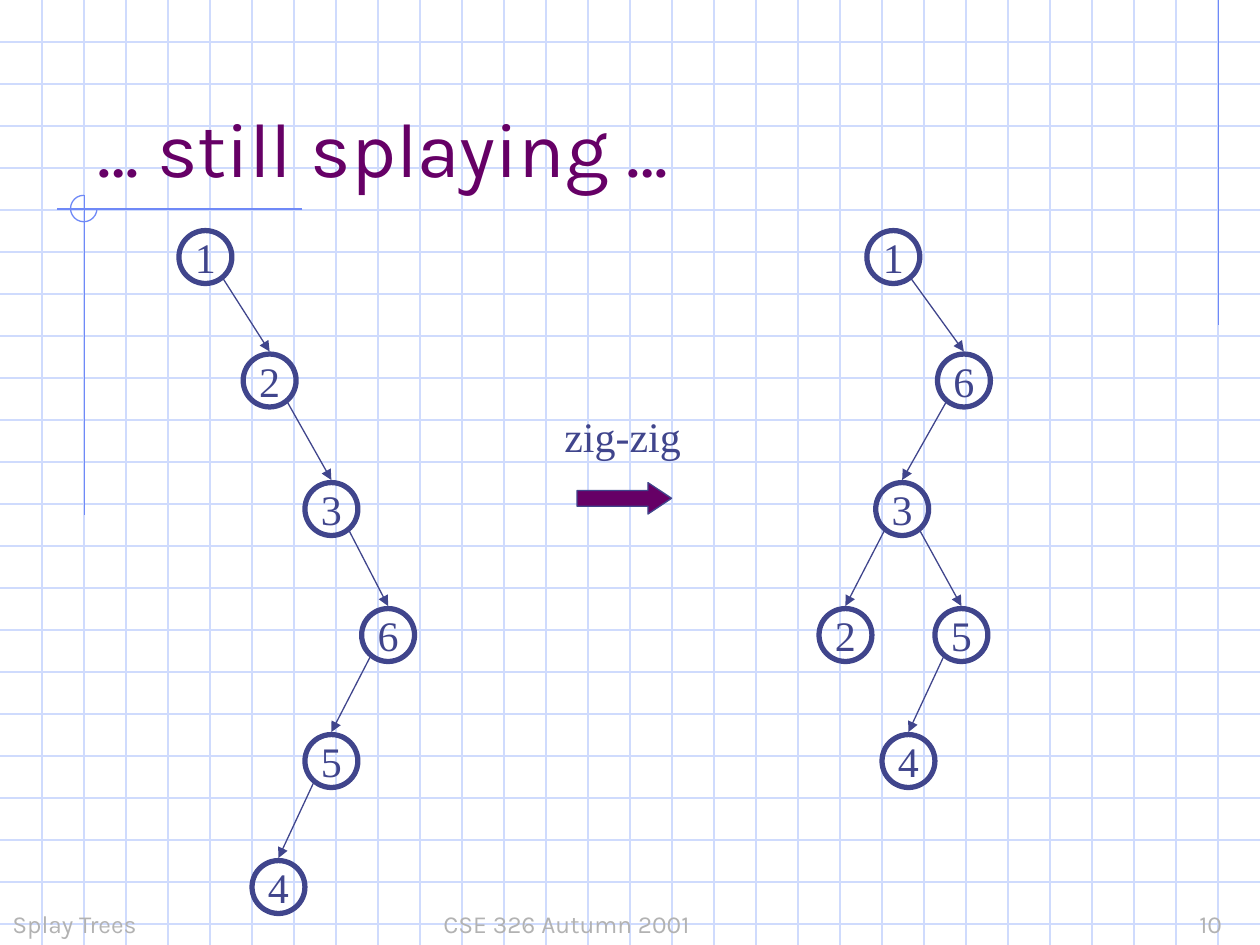
from dataclasses import dataclass

from lxml.etree import SubElement as sub
from pptx import Presentation
from pptx.dml.color import RGBColor as RGB
from pptx.enum.shapes import MSO_CONNECTOR as LINK, MSO_SHAPE as SHAPE
from pptx.enum.text import MSO_ANCHOR as ANCHOR, MSO_AUTO_SIZE as FIT, PP_ALIGN as ALIGN
from pptx.oxml.ns import qn
from pptx.util import Inches, Pt


@dataclass(frozen=True)
class Theme:
    """Colours, fonts and sizes of the slide."""
    grid: RGB = RGB.from_string("CFDBFD")
    rule: RGB = RGB.from_string("6F89F7")
    ink: RGB = RGB.from_string("40458C")
    accent: RGB = RGB.from_string("660066")
    mute: RGB = RGB.from_string("B2B2B2")
    sans: str = "Karla"
    serif: str = "Times New Roman"
    head: Pt = Pt(44)
    body: Pt = Pt(24)
    foot: Pt = Pt(14)
    thin: Pt = Pt(0.75)
    thick: Pt = Pt(3)


T = Theme()
WIDE, HIGH, STEP = 10, 7.5, 1 / 3
NODE = 0.42
ROWS = (0, 0.98, 2, 3, 4, 5)
BEFORE = {1: (0, 0, None), 2: (0.51, 1, 1), 3: (1, 2, 2),
          6: (1.45, 3, 3), 5: (1, 4, 6), 4: (0.58, 5, 5)}
AFTER = {1: (0.38, 0, None), 6: (0.94, 1, 1), 3: (0.45, 2, 6),
         2: (0, 3, 3), 5: (0.92, 3, 3), 4: (0.5, 4, 5)}


def put(item, **vals):
    """Set each named value on the item."""
    for name, val in vals.items():
        setattr(item, name, val)


def write(shape, text, font, size, color, align=ALIGN.LEFT, **frame):
    """Fill the shape with one formatted line of text."""
    put(shape.text_frame, **{"text": text, "auto_size": FIT.NONE, **frame})
    para = shape.text_frame.paragraphs[0]
    para.alignment = align
    put(para.runs[0].font, name=font, size=size)
    para.runs[0].font.color.rgb = color
    return para


def line(slide, start, end, color, tip=False):
    """Draw a thin line, with an arrowhead if tip is set."""
    link = slide.shapes.add_connector(LINK.STRAIGHT, *map(Inches, start + end))
    link.line.color.rgb = color
    link.line.width = T.thin
    props = link._element.spPr
    if tip:
        sub(props.find(qn("a:ln")), qn("a:tailEnd"), type="triangle")
    sub(props, qn("a:effectLst"))


def shape(slide, kind, box, color, width, fill=None):
    """Add an outlined shape, filled only if a fill is given."""
    item = slide.shapes.add_shape(kind, *map(Inches, box))
    item.shadow.inherit = False
    item.line.color.rgb = color
    item.line.width = width
    if fill is None:
        item.fill.background()
    else:
        item.fill.solid()
        item.fill.fore_color.rgb = fill
    return item


def label(slide, box, *style, **frame):
    """Add a text box with one line of text."""
    item = slide.shapes.add_textbox(*map(Inches, box))
    return write(item, *style, word_wrap=True, **frame)


def paper(slide):
    """Draw the squared paper with its blue rules."""
    for i in range(1, int(HIGH / STEP) + 1):
        line(slide, (0, i * STEP), (WIDE, i * STEP), T.grid)
    for i in range(1, int(WIDE / STEP)):
        line(slide, (i * STEP, 0), (i * STEP, HIGH), T.grid)
    for start, end in (((9.67, 0), (9.67, 2.58)),
                       ((2.4, 1.66), (0.45, 1.66)),
                       ((0.67, 1.55), (0.67, 4.09))):
        line(slide, start, end, T.rule)
    arc = shape(slide, SHAPE.ARC, (0.56, 1.55, 0.21, 0.21), T.rule, T.thin)
    arc.adjustments[0], arc.adjustments[1] = 0, 162


def title(slide, box, text):
    """Place the title above the paper."""
    head = slide.shapes.title
    put(head, **dict(zip(("left", "top", "width", "height"), map(Inches, box))))
    write(head, text, T.sans, T.head, T.accent, vertical_anchor=ANCHOR.BOTTOM)
    slide.shapes._spTree.append(head._element)


def footer(slide, top):
    """Write the topic, the course and the page number."""
    style = (T.sans, T.foot, T.mute)
    frame = {"vertical_anchor": ANCHOR.BOTTOM}
    label(slide, (0, top, 2.08, 0.5), "Splay Trees", *style, **frame)
    para = label(slide, (3.42, top, 6.58, 0.5), "CSE 326 Autumn 2001\t10", *style, **frame)
    tabs = sub(para._p.get_or_add_pPr(), qn("a:tabLst"))
    sub(tabs, qn("a:tab"), pos=str(Inches(6)), algn="l")


def step(slide, left, top):
    """Draw the named arrow between the trees."""
    arrow = shape(slide, SHAPE.RIGHT_ARROW, (left + 0.2, top + 0.62, 0.75, 0.25),
                  T.ink, T.thin, T.accent)
    arrow.adjustments[0], arrow.adjustments[1] = 0.5, 0.75
    label(slide, (left, top, 1.12, 0.5), "zig-zig", T.serif, T.body, T.ink,
          margin_right=0)


def tree(slide, left, top, nodes):
    """Draw the nodes and an arrow from each parent to its child."""
    spots = {key: (left + x, top + ROWS[row]) for key, (x, row, _) in nodes.items()}
    for key, (x, y) in spots.items():
        ring = shape(slide, SHAPE.OVAL, (x, y, NODE, NODE), T.ink, T.thick)
        write(ring, str(key), T.serif, T.body, T.ink, ALIGN.CENTER,
              word_wrap=False, vertical_anchor=ANCHOR.MIDDLE)
        root = nodes[key][2]
        if root:
            px, py = spots[root]
            side = 0.14 if x > px else -0.14
            line(slide, (px + NODE / 2 + side, py + 0.38),
                 (x + NODE / 2, y - 0.02), T.ink, tip=True)


def main():
    """Build and save the slide."""
    deck = Presentation()
    put(deck, slide_width=Inches(WIDE), slide_height=Inches(HIGH))
    slide = deck.slides.add_slide(deck.slide_layouts[5])
    paper(slide)
    footer(slide, 7)
    title(slide, (0.67, 0.33, 8.5, 1.25), "… still splaying …")
    step(slide, 4.38, 3.21)
    tree(slide, 1.42, 1.83, BEFORE)
    tree(slide, 6.5, 1.83, AFTER)
    deck.save("out.pptx")


if __name__ == "__main__":
    main()
